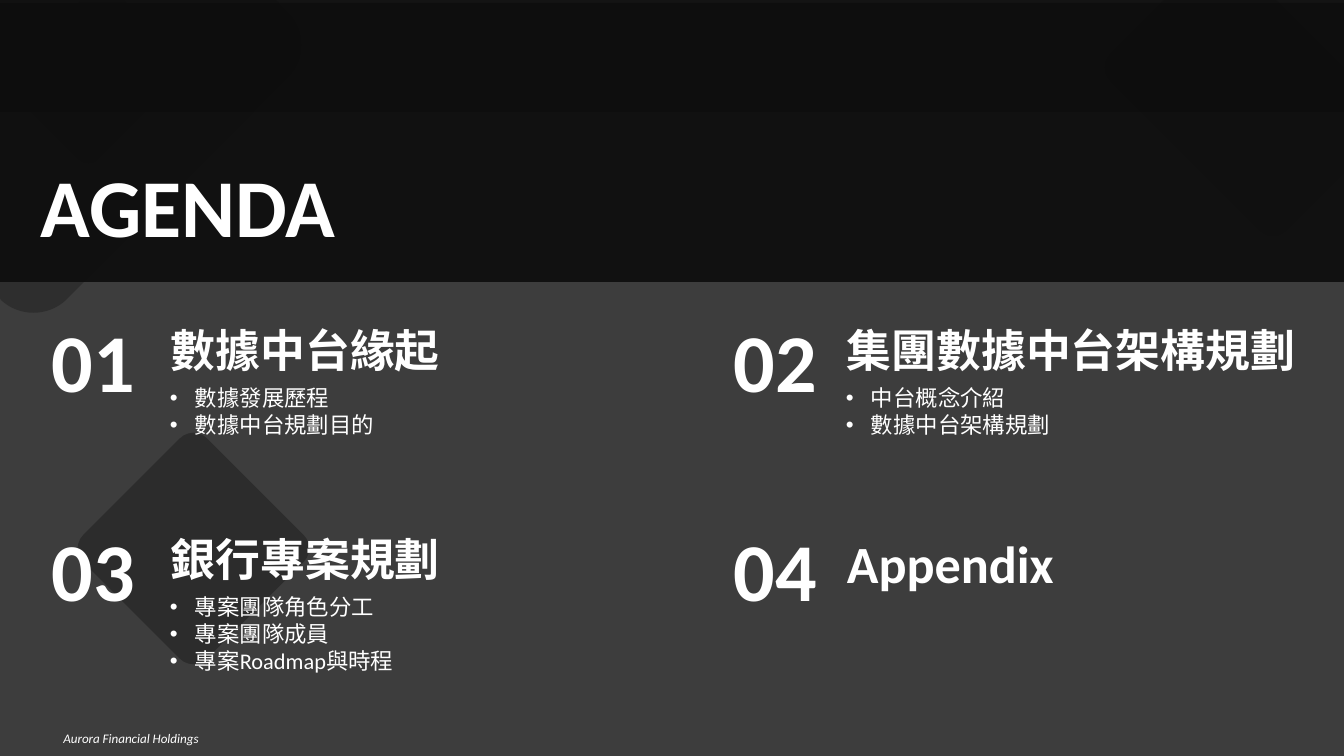
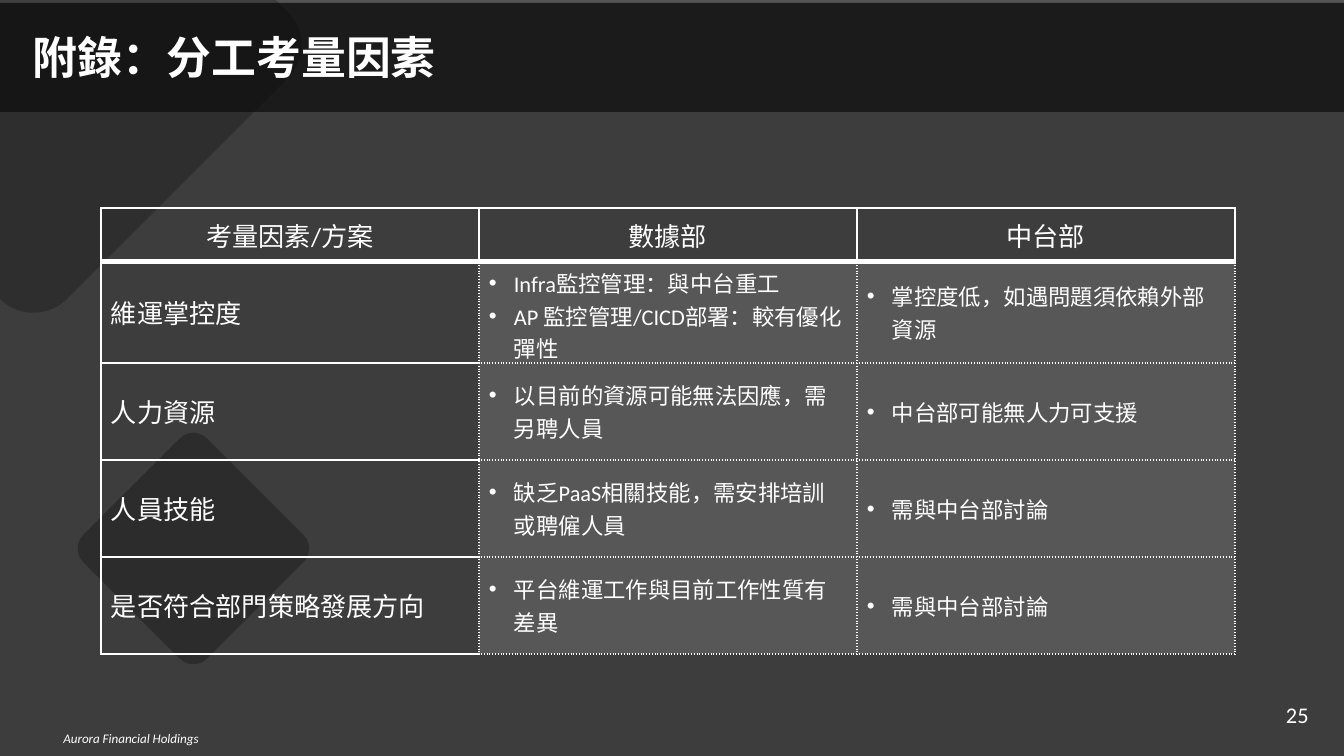
from lxml import etree
from pptx import Presentation
from pptx.dml.color import RGBColor
from pptx.enum.shapes import MSO_SHAPE as SHAPE
from pptx.enum.text import MSO_ANCHOR as ANCHOR, MSO_AUTO_SIZE as AUTO, PP_ALIGN as ALIGN
from pptx.oxml.ns import qn
from pptx.util import Pt

# Theme
PX = 914400 / 134.4
W, H = 1344, 756
FONT = "Calibri"
WHITE = RGBColor(0xFF, 0xFF, 0xFF)
INK = RGBColor(0x0D, 0x0D, 0x0D)
PALE = RGBColor(0xF8, 0xF8, 0xF8)
FOOTER = "Aurora Financial Holdings"

# Content
AGENDA = [
    ("01", "數據中台緣起", 24, ["數據發展歷程", "數據中台規劃目的"]),
    ("02", "集團數據中台架構規劃", 24, ["中台概念介紹", "數據中台架構規劃"]),
    ("03", "銀行專案規劃", 24, ["專案團隊角色分工", "專案團隊成員", "專案Roadmap與時程"]),
    ("04", "Appendix", 28, []),
]
NUMBER_X, HEADING_X, ITEM_Y = (36, 718), (155, 831), (304, 513)
DIAMONDS = [(1159, -31, 175, 250), (23, 11, 145, 125)]

HEADER = ["考量因素/方案", "數據部", "中台部"]
FACTORS = [
    ("維運掌控度", ["Infra監控管理：與中台重工", "AP 監控管理/CICD部署：較有優化彈性"],
     ["掌控度低，如遇問題須依賴外部資源"]),
    ("人力資源", ["以目前的資源可能無法因應，需另聘人員"], ["中台部可能無人力可支援"]),
    ("人員技能", ["缺乏PaaS相關技能，需安排培訓或聘僱人員"], ["需與中台部討論"]),
    ("是否符合部門策略發展方向", ["平台維運工作與目前工作性質有差異"], ["需與中台部討論"]),
]
ROW_HEIGHTS = [54, 101, 97, 97, 97]
COL_WIDTH = 378


def px(n):
    return round(n * PX)


def box(*lengths):
    return [px(n) for n in lengths]


# Text
def set_bullet(p):
    pPr = p._p.get_or_add_pPr()
    pPr.set("marL", str(px(25)))
    pPr.set("indent", str(px(-25)))
    etree.SubElement(pPr, qn("a:buFont")).set("typeface", "Arial")
    etree.SubElement(pPr, qn("a:buChar")).set("char", "•")


def write(tf, lines, size, bold=False, italic=False, align=ALIGN.LEFT, bullets=False, east=True):
    for i, line in enumerate(lines):
        p = tf.add_paragraph() if i else tf.paragraphs[0]
        p.alignment = align
        if bullets:
            set_bullet(p)
        r = p.add_run()
        r.text = line
        f = r.font
        f.name, f.size, f.bold, f.italic = FONT, Pt(size), bold, italic
        f.color.rgb = WHITE
        if east:
            latin = r._r.get_or_add_rPr().find(qn("a:latin"))
            ea = etree.Element(qn("a:ea"))
            ea.set("typeface", FONT)
            latin.addnext(ea)


def add_text(shapes, frame, lines, size, inset=13, anchor=ANCHOR.TOP, fit=AUTO.SHAPE_TO_FIT_TEXT, **style):
    tf = shapes.add_textbox(*box(*frame)).text_frame
    tf.word_wrap = True
    tf.auto_size = fit
    tf.vertical_anchor = anchor
    tf.margin_left = tf.margin_right = px(inset)
    write(tf, lines, size, **style)


def set_title(s, frame, text, size):
    sp = s.shapes.title
    sp.left, sp.top, sp.width, sp.height = box(*frame)
    tf = sp.text_frame
    tf.word_wrap = True
    tf.auto_size = AUTO.NONE
    tf.vertical_anchor = ANCHOR.MIDDLE
    write(tf, [text], size, bold=True)
    sp.element.getparent().append(sp.element)  # bring to front


# Shapes
def set_alpha(element, percent):
    for color in element.iter(qn("a:srgbClr")):
        etree.SubElement(color, qn("a:alpha")).set("val", str(percent * 1000))


def paint(sp, percent):
    sp.shadow.inherit = False
    sp.fill.solid()
    sp.fill.fore_color.rgb = INK
    sp.line.fill.background()
    set_alpha(sp.element.spPr, percent)


def add_band(s, frame, percent):
    paint(s.shapes.add_shape(SHAPE.RECTANGLE, *box(*frame)), percent)


def add_diamond(s, frame, percent):
    sp = s.shapes.add_shape(SHAPE.ROUNDED_RECTANGLE, *box(*frame))
    sp.adjustments[0] = 0.11
    sp.rotation = 315
    paint(sp, percent)


def curve(a, b, c, d, steps=16):
    points = []
    for i in range(steps + 1):
        t = i / steps
        u = 1 - t
        points.append(tuple(u**3 * a[k] + 3 * u * u * t * b[k] + 3 * u * t * t * c[k] + t**3 * d[k]
                            for k in (0, 1)))
    return points


def add_corner(s):
    points = [(276, 0), *curve((289, 13), (306, 31), (306, 59), (289, 77)),
              *curve((66, 300), (48, 317), (19, 317), (1, 300)), (0, 298)]
    outline = s.shapes.build_freeform(0, 0, scale=1.0)
    outline.add_line_segments([box(*point) for point in points], close=True)
    paint(outline.convert_to_shape(), 30)


# Shared backdrop and footer
def new_slide(prs):
    s = prs.slides.add_slide(prs.slide_layouts[5])
    add_band(s, (-3, 3, 1347, H), 80)
    add_corner(s)
    add_band(s, (0, 0, W, 112), 70)
    add_diamond(s, (106, 461, 175, 175), 34)
    add_text(s.shapes, (8, 724, 246, 30), [FOOTER], 7, italic=True, align=ALIGN.CENTER)
    return s


# Agenda slide
def build_agenda(prs):
    s = new_slide(prs)
    for frame in DIAMONDS:
        add_diamond(s, frame, 30)
    for i, (number, heading, size, points) in enumerate(AGENDA):
        row, col = divmod(i, 2)
        x, y = HEADING_X[col], ITEM_Y[row]
        shapes = s.shapes.add_group_shape().shapes
        if points:
            add_text(shapes, (x + 2, y + 74, 536, 13 + 27 * len(points)), points, 12, bullets=True)
        add_text(shapes, (x, y + 12, 536, 67 if size == 24 else 76), [heading], size, inset=16, bold=True)
        add_text(shapes, (NUMBER_X[col], y, 159, 113), [number], 44, inset=16, bold=True)
    add_band(s, (0, 0, W, 282), 90)
    set_title(s, (27, 148, 910, 113), "AGENDA", 44)


# Comparison table slide
def set_borders(cell, **sides):
    tcPr = cell._tc.get_or_add_tcPr()
    for side in "LRTB":
        width, dash = sides[side]
        ln = etree.SubElement(tcPr, qn("a:ln" + side))
        ln.set("w", str(Pt(width)))
        fill = etree.SubElement(ln, qn("a:solidFill"))
        etree.SubElement(fill, qn("a:srgbClr")).set("val", str(WHITE))
        etree.SubElement(ln, qn("a:prstDash")).set("val", dash)


def fill_cell(cell, row, col, lines):
    thin, thick, dots = (1, "solid"), (3, "solid"), (1, "sysDot")
    body = row > 0 and col > 0
    cell.vertical_anchor = ANCHOR.MIDDLE
    cell.margin_left = cell.margin_right = px(10)
    cell.margin_top = cell.margin_bottom = px(5)
    write(cell.text_frame, lines, 12 if body else 14, bullets=body, east=False,
          align=ALIGN.LEFT if row else ALIGN.CENTER)
    if row == 0:
        set_borders(cell, L=thin, R=thin, T=thin, B=thick)
    elif col == 0:
        set_borders(cell, L=thin, R=dots, T=thin, B=thin)
    else:
        set_borders(cell, L=dots, R=dots, T=thick if row == 1 else dots, B=dots)
    if body:
        cell.fill.solid()
        cell.fill.fore_color.rgb = PALE
        set_alpha(cell._tc.tcPr.find(qn("a:solidFill")), 14)
    else:
        cell.fill.background()


def build_factors(prs):
    s = new_slide(prs)
    add_text(s.shapes, (1273, 694, 71, 42), ["25"], 12, anchor=ANCHOR.MIDDLE, fit=AUTO.NONE)
    rows = [[[name] for name in HEADER]] + [[[name], data, platform] for name, data, platform in FACTORS]
    frame = (101, 208, COL_WIDTH * len(HEADER), sum(ROW_HEIGHTS))
    table = s.shapes.add_table(len(rows), len(HEADER), *box(*frame)).table
    table.first_row = table.horz_banding = False
    for column in table.columns:
        column.width = px(COL_WIDTH)
    for i, row in enumerate(rows):
        table.rows[i].height = px(ROW_HEIGHTS[i])
        for j, lines in enumerate(row):
            fill_cell(table.cell(i, j), i, j, lines)
    set_title(s, (19, 28, 1306, 58), "附錄：分工考量因素", 24)


def main():
    prs = Presentation()
    prs.slide_width, prs.slide_height = box(W, H)
    build_agenda(prs)
    build_factors(prs)
    prs.save("out.pptx")


if __name__ == "__main__":
    main()
